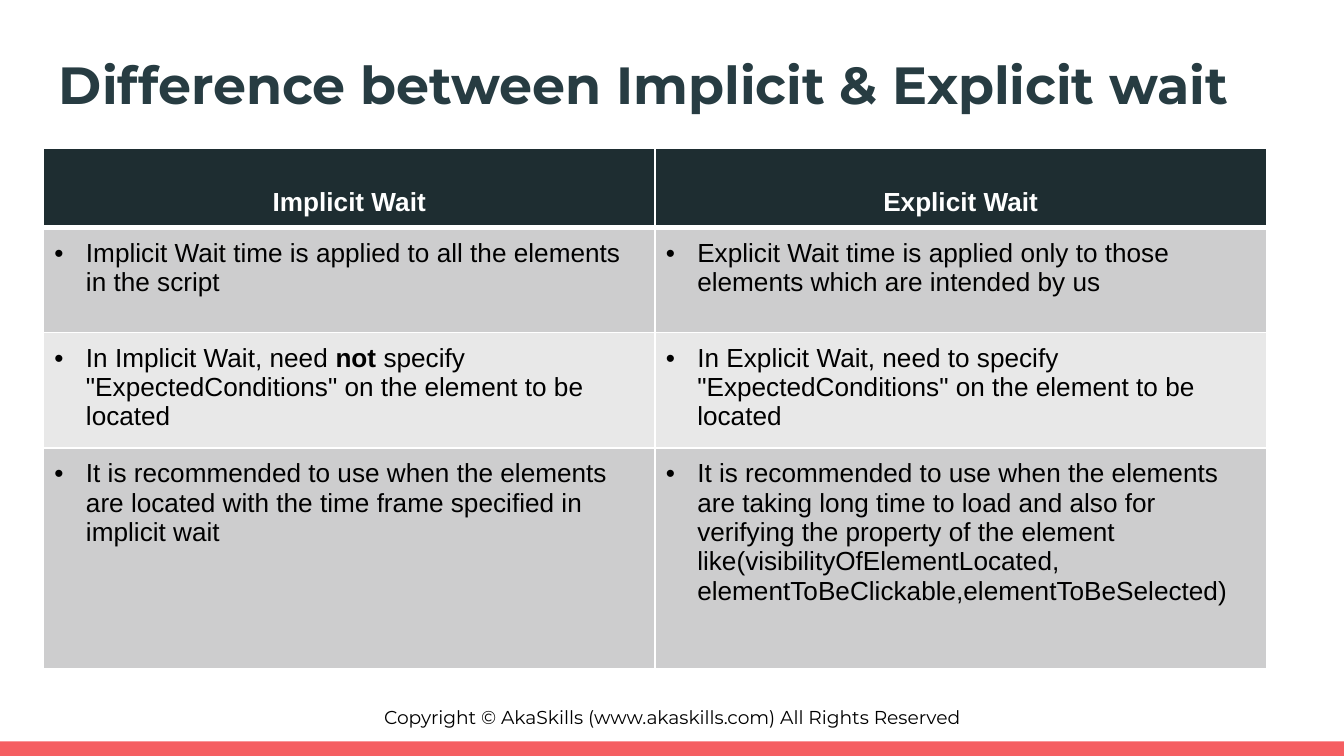
from dataclasses import dataclass

from lxml import etree
from pptx import Presentation
from pptx.dml.color import RGBColor
from pptx.enum.shapes import MSO_SHAPE
from pptx.enum.text import MSO_ANCHOR, PP_ALIGN
from pptx.oxml.ns import qn
from pptx.util import Pt

RECTANGLE = MSO_SHAPE.RECTANGLE
TOP, BOTTOM = MSO_ANCHOR.TOP, MSO_ANCHOR.BOTTOM
LEFT, CENTER = PP_ALIGN.LEFT, PP_ALIGN.CENTER

WHITE = RGBColor(0xFF, 0xFF, 0xFF)
BLACK = RGBColor(0x00, 0x00, 0x00)
CORAL = RGBColor(0xF5, 0x5E, 0x61)
SLATE = RGBColor(0x27, 0x3C, 0x42)
HEADER_FILL = RGBColor(0x1E, 0x2D, 0x31)
BAND_FILLS = (RGBColor(0xCD, 0xCD, 0xCE), RGBColor(0xE8, 0xE8, 0xE8))

SLIDE_WIDTH, SLIDE_HEIGHT = 720, 405
TEXT_INSET = Pt(7.2)
CELL_INSET = Pt(5.76)
BULLET_INDENT = Pt(16.9)
COLUMN_WIDTH = 327.5
THIN, THICK = Pt(1), Pt(3)


@dataclass(frozen=True)
class Caption:
    text: str
    left: float
    top: float
    width: float
    height: float
    size: float
    color: RGBColor
    bold: bool
    align: PP_ALIGN


@dataclass(frozen=True)
class Row:
    height: float
    implicit: str
    explicit: str


CAPTIONS = (
    Caption("Copyright © AkaSkills (www.akaskills.com) All Rights Reserved",
            0, 372.2, SLIDE_WIDTH, 24, 10, BLACK, False, CENTER),
    Caption("Difference between Implicit & Explicit wait",
            24.5, 21, 671, 43, 28, SLATE, True, LEFT),
)

# Asterisks enclose bold words.
ROWS = (
    Row(42.8, "Implicit Wait", "Explicit Wait"),
    Row(56.2,
        "Implicit Wait time is applied to all the elements in the script",
        "Explicit Wait time is applied only to those elements which are "
        "intended by us"),
    Row(59.3,
        'In Implicit Wait, need *not* specify "ExpectedConditions" on the '
        "element to be located",
        'In Explicit Wait, need to specify "ExpectedConditions" on the '
        "element to be located"),
    Row(118.2,
        "It is recommended to use when the elements are located with the "
        "time frame specified in implicit wait",
        "It is recommended to use when the elements are taking long time to "
        "load and also for verifying the property of the element "
        "like(visibilityOfElementLocated, "
        "elementToBeClickable,elementToBeSelected)"),
)


def add_caption(slide, caption: Caption) -> None:
    box = slide.shapes.add_textbox(Pt(caption.left), Pt(caption.top),
                                   Pt(caption.width), Pt(caption.height))
    frame = box.text_frame
    frame.word_wrap = True
    frame.vertical_anchor = TOP
    frame.margin_left = frame.margin_right = TEXT_INSET
    frame.margin_top = frame.margin_bottom = TEXT_INSET
    paragraph = frame.paragraphs[0]
    paragraph.text = caption.text
    paragraph.alignment = caption.align
    style_font(paragraph, "Montserrat", caption.size, caption.color)
    paragraph.font.bold = caption.bold


def style_font(paragraph, name: str, size: float, color: RGBColor) -> None:
    font = paragraph.font
    font.name, font.size = name, Pt(size)
    font.color.rgb = color


def add_bullet(paragraph) -> None:
    properties = paragraph._p.get_or_add_pPr()
    properties.set("marL", str(BULLET_INDENT))
    properties.set("indent", str(-BULLET_INDENT))
    etree.SubElement(properties, qn("a:buFont"), typeface="Arial")
    etree.SubElement(properties, qn("a:buChar"), char="•")


def set_borders(cell, top: int, bottom: int) -> None:
    """Draw white borders; the side borders are thin."""
    properties = cell._tc.get_or_add_tcPr()
    sides = (("L", THIN), ("R", THIN), ("T", top), ("B", bottom))
    for position, (side, width) in enumerate(sides):
        line = etree.Element(qn(f"a:ln{side}"), w=str(width))
        fill = etree.SubElement(line, qn("a:solidFill"))
        etree.SubElement(fill, qn("a:srgbClr"), val=str(WHITE))
        properties.insert(position, line)


def fill_cell(cell, text: str, row_index: int) -> None:
    is_header = row_index == 0
    cell.margin_left = cell.margin_right = CELL_INSET
    cell.margin_top = cell.margin_bottom = CELL_INSET
    cell.vertical_anchor = BOTTOM if is_header else TOP
    cell.fill.solid()
    cell.fill.fore_color.rgb = (
        HEADER_FILL if is_header else BAND_FILLS[(row_index - 1) % 2])
    set_borders(cell, THICK if row_index == 1 else THIN,
                THICK if is_header else THIN)

    paragraph = cell.text_frame.paragraphs[0]
    if is_header:
        paragraph.alignment = CENTER
    else:
        add_bullet(paragraph)
    style_font(paragraph, "Arial", 14, WHITE if is_header else BLACK)
    paragraph.font.bold = is_header
    for index, part in enumerate(text.split("*")):
        run = paragraph.add_run()
        run.text = part
        if index % 2:
            run.font.bold = True


def add_comparison(slide) -> None:
    height = sum(row.height for row in ROWS)
    table = slide.shapes.add_table(len(ROWS), 2, Pt(23.4), Pt(79.2),
                                   Pt(2 * COLUMN_WIDTH), Pt(height)).table
    for column in table.columns:
        column.width = Pt(COLUMN_WIDTH)
    for index, row in enumerate(ROWS):
        table.rows[index].height = Pt(row.height)
        for column_index, text in enumerate((row.implicit, row.explicit)):
            fill_cell(table.cell(index, column_index), text, index)


def add_footer_band(slide) -> None:
    band = slide.shapes.add_shape(RECTANGLE, Pt(0), Pt(397.2),
                                  Pt(SLIDE_WIDTH), Pt(7.8))
    band.shadow.inherit = False
    band.fill.solid()
    band.fill.fore_color.rgb = CORAL
    band.line.fill.background()


def main() -> None:
    presentation = Presentation()
    presentation.slide_width = Pt(SLIDE_WIDTH)
    presentation.slide_height = Pt(SLIDE_HEIGHT)
    slide = presentation.slides.add_slide(presentation.slide_layouts[6])
    add_footer_band(slide)
    for caption in CAPTIONS:
        add_caption(slide, caption)
    add_comparison(slide)
    presentation.save("out.pptx")


if __name__ == "__main__":
    main()
